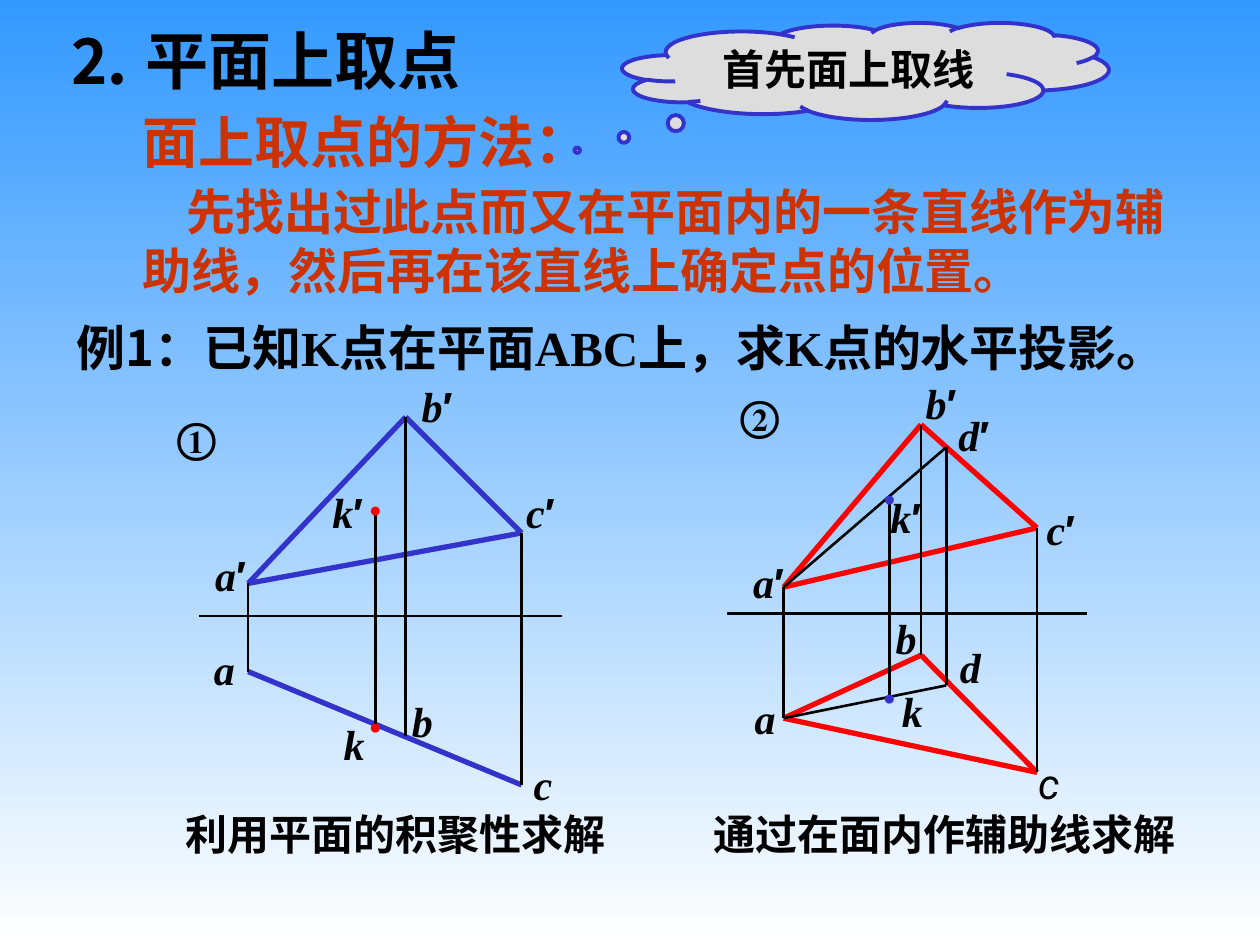
import pptx
import pptx.util
import pptx.dml.color
import pptx.enum.shapes
import pptx.enum.text
import pptx.oxml.ns
import lxml.etree

Inches = pptx.util.Inches
Pt = pptx.util.Pt
ALIGN = pptx.enum.text.PP_ALIGN
SERIF = "Times New Roman"
COLORS = {
    "sky": "3399FF", "white": "FFFFFF", "ink": "000000", "blue": "3333CC",
    "red": "FF0000", "rust": "CC3300", "cloud": "DDDDDD",
}

ACCUMULATION = {
    "points": {
        "a′": (0.67, 1.68), "b′": (1.92, 0.36), "c′": (2.84, 1.28), "k′": (1.68, 1.09),
        "a": (0.67, 2.38), "b": (1.92, 2.89), "c": (2.84, 3.28), "k": (1.68, 2.81),
        "left": (0.28, 1.94), "right": (3.16, 1.94),
    },
    "edges": ["a′ b′", "b′ c′", "a′ c′", "a c"],
    "thin": ["left right", "a′ a", "b′ b", "c′ c", "k′ k"],
    "edge": "blue", "dot": "red",
    "labels": {
        "a′": (0.29, 1.36), "b′": (1.93, 0.02), "c′": (2.75, 0.86), "k′": (1.22, 0.86),
        "a": (0.3, 2.11), "b": (1.87, 2.52), "c": (2.83, 3.02), "k": (1.33, 2.7),
    },
    "number": ("①", 0, 0.27),
    "caption": ("利用平面的积聚性求解", 0.04, 3.6),
    "plain": "",
}
AUXILIARY = {
    "points": {
        "a′": (0.67, 1.71), "b′": (1.76, 0.42), "c′": (2.68, 1.24), "d′": (1.96, 0.6),
        "k′": (1.51, 1), "a": (0.67, 2.75), "b": (1.76, 2.25), "c": (2.68, 3.18),
        "d": (1.96, 2.49), "k": (1.51, 2.58),
        "left": (0.22, 1.92), "right": (3.08, 1.92),
    },
    "edges": ["a′ b′", "b′ c′", "a′ c′", "a b", "b c", "a c"],
    "thin": ["left right", "a′ a", "b′ b", "c′ c", "d′ d", "k′ k", "a′ d′", "a d"],
    "edge": "red", "dot": "blue",
    "labels": {
        "a′": (0.31, 1.42), "b′": (1.68, 0), "c′": (2.63, 1), "d′": (1.94, 0.25),
        "k′": (1.4, 0.9), "a": (0.34, 2.5), "b": (1.46, 1.86), "c": (2.59, 3.01),
        "d": (1.97, 2.09), "k": (1.51, 2.44),
    },
    "number": ("②", 0.22, 0.09),
    "caption": ("通过在面内作辅助线求解", -0.05, 4),
    "plain": "c",
}


def rgb(name):
    """Return the palette colour called name."""
    return pptx.dml.color.RGBColor.from_string(COLORS[name])


def write(sp, text, size=24, color="ink", align=ALIGN.CENTER, wrap=False, bold=True):
    """Write one paragraph into a shape and return it."""
    tf = sp.text_frame
    tf.word_wrap = wrap
    tf.auto_size = pptx.enum.text.MSO_AUTO_SIZE.SHAPE_TO_FIT_TEXT
    tf.vertical_anchor = pptx.enum.text.MSO_ANCHOR.MIDDLE
    p = tf.paragraphs[0]
    p.alignment = align
    p.add_run().text = text
    p.font.size, p.font.bold, p.font.name = Pt(size), bold, SERIF
    p.font.color.rgb = rgb(color)
    return p


def add_text(s, box, text, **style):
    """Add a text box at box and return its paragraph."""
    return write(s.shapes.add_textbox(*map(Inches, box)), text, **style)


def add_line(s, start, end, color, width):
    """Add a straight line without shadow."""
    ends = map(Inches, (*start, *end))
    cn = s.shapes.add_connector(pptx.enum.shapes.MSO_CONNECTOR.STRAIGHT, *ends)
    cn.line.color.rgb, cn.line.width = rgb(color), Pt(width)
    sp_pr = cn._element.spPr
    lxml.etree.SubElement(sp_pr, pptx.oxml.ns.qn("a:effectLst"))


def add_label(s, x, y, name, plain):
    """Name a point in italics, with an upright prime."""
    box = (x, y, 0.24 + 0.12 * len(name), 0.5)
    p = add_text(s, box, name[0], bold=not plain)
    if plain:
        p.font.name = "Roboto"
    p.runs[0].font.italic = True
    if len(name) > 1:
        r = p.add_run()
        r.text, r.font.name, r.font.italic = name[1], "Arial", False


def add_diagram(s, box, figure):
    """Draw one projection diagram with its labels and caption."""
    left, top = box
    points = {n: (left + x, top + y) for n, (x, y) in figure["points"].items()}
    for pairs, color, width in (("edges", figure["edge"], 3), ("thin", "ink", 1.5)):
        for pair in figure[pairs]:
            start, end = pair.split()
            add_line(s, points[start], points[end], color, width)
    for name in ("k′", "k"):
        x, y = points[name]
        add_text(s, (x - 0.15, y - 0.15, 0.3, 0.3), "●", size=12, color=figure["dot"])
    for name, (x, y) in figure["labels"].items():
        add_label(s, left + x, top + y, name, name == figure["plain"])
    text, x, y = figure["number"]
    add_text(s, (left + x, top + y, 0.52, 0.5), text)
    text, x, width = figure["caption"]
    add_text(s, (left + x, top + 3.42, width, 0.5), text)


def add_heading(s, box):
    """Write the title, the method and the example question."""
    left, top = box
    add_text(s, (left, top, 3.6, 0.7), "⒉ 平面上取点", size=36, align=ALIGN.LEFT)
    add_text(s, (left + 0.59, top + 0.68, 3.86, 0.64), "面上取点的方法：",
             size=32, color="rust", align=ALIGN.LEFT)
    p = add_text(s, (left + 0.59, top + 1.27, 8.63, 1.04),
                 "先找出过此点而又在平面内的一条直线作为辅助线，然后再在该直线上确定点的位置。",
                 size=28, color="rust", align=ALIGN.LEFT, wrap=True)
    p._p.get_or_add_pPr().set("indent", str(Inches(0.35)))
    p = add_text(s, (left + 0.07, top + 2.35, 9.59, 0.57), "例", size=28, align=ALIGN.LEFT)
    r = p.add_run()
    r.text, r.font.name = "1", "Noto Sans CJK SC"
    p.add_run().text = "：已知K点在平面ABC上，求K点的水平投影。"


def add_cloud(s, box):
    """Add the thought cloud."""
    kind = pptx.enum.shapes.MSO_SHAPE.CLOUD_CALLOUT
    sp = s.shapes.add_shape(kind, *map(Inches, box))
    sp.adjustments[0], sp.adjustments[1] = -0.593, 0.815
    sp.shadow.inherit = False
    sp.fill.solid()
    sp.fill.fore_color.rgb = rgb("cloud")
    sp.line.color.rgb, sp.line.width = rgb("blue"), Pt(2.25)
    write(sp, "首先面上取线", wrap=True)


def add_background(s):
    """Fill the slide from sky blue down to white."""
    fill = s.background.fill
    fill.gradient()
    fill.gradient_angle = 270
    for stop, color, position in zip(fill.gradient_stops, ("sky", "white"), (0, 1)):
        stop.color.rgb, stop.position = rgb(color), position


def main():
    """Build the slide and save it."""
    prs = pptx.Presentation()
    prs.slide_width, prs.slide_height = Inches(10), Inches(7.5)
    s = prs.slides.add_slide(prs.slide_layouts[6])
    add_background(s)
    add_heading(s, (0.44, 0.12))
    add_cloud(s, (4.94, 0.18, 3.86, 0.77))
    add_diagram(s, (1.3, 2.95), ACCUMULATION)
    add_diagram(s, (5.55, 2.95), AUXILIARY)
    prs.save("out.pptx")


if __name__ == "__main__":
    main()
